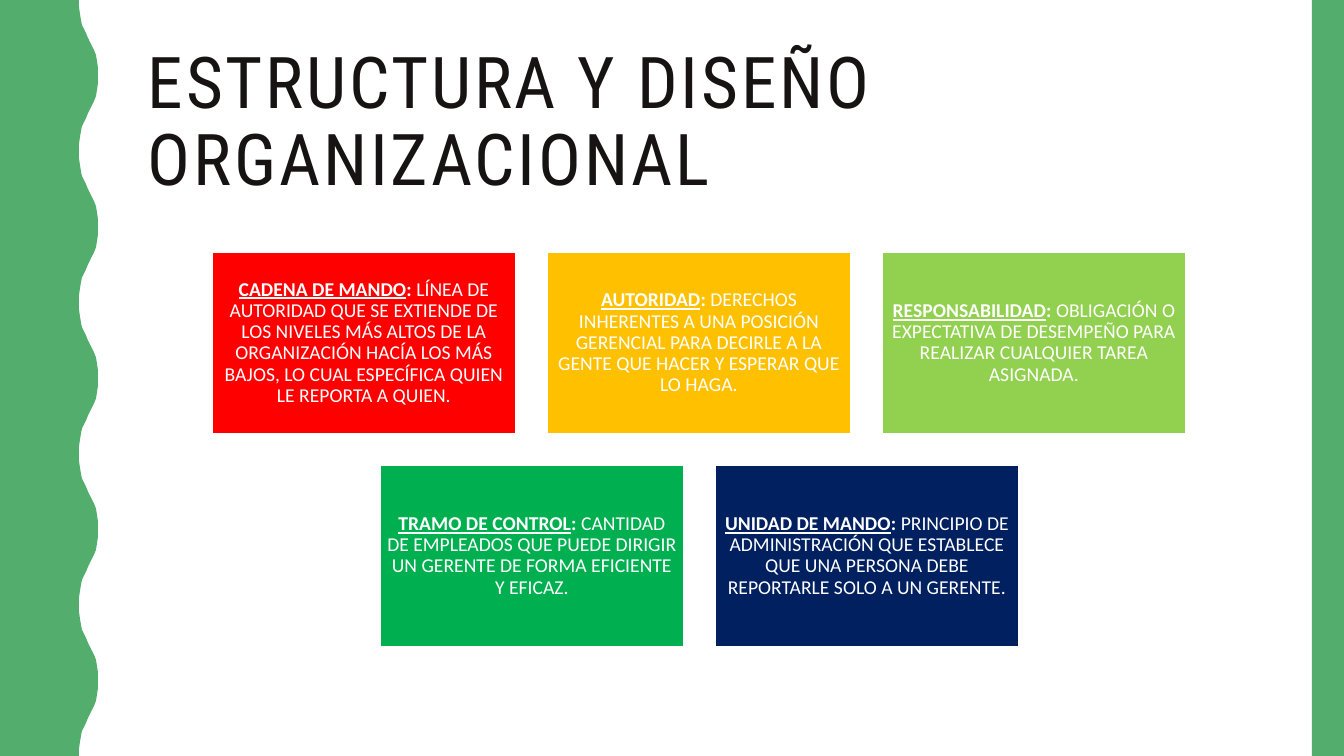
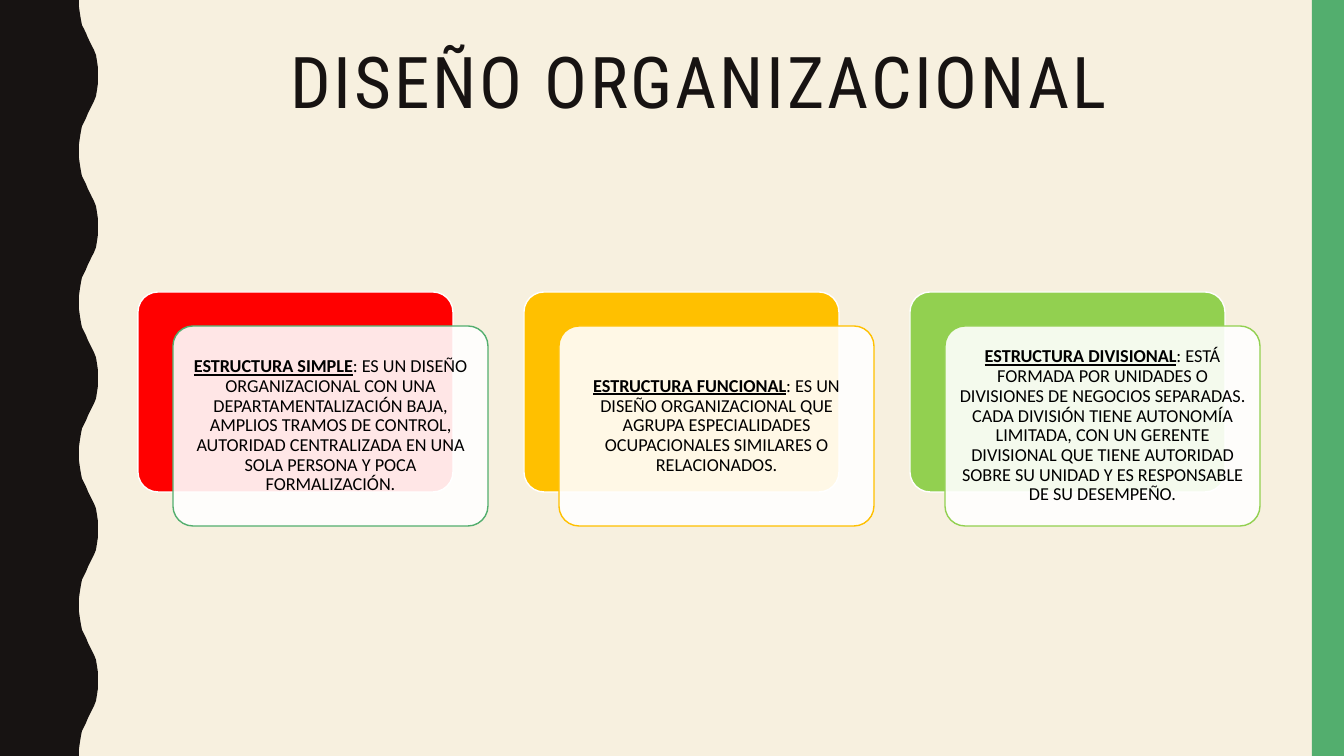
"""Build two slides on organizational structure and design."""
from lxml.etree import SubElement
from pptx import Presentation
from pptx.dml.color import RGBColor
from pptx.enum.shapes import MSO_SHAPE as SHAPE
from pptx.enum.text import MSO_ANCHOR as ANCHOR, PP_ALIGN as ALIGN
from pptx.oxml.ns import qn
from pptx.util import Pt

PX = 12192000 / 1344
W, H = 1344, 756
INK = RGBColor(0x17, 0x13, 0x12)
CREAM = RGBColor(0xF7, 0xF0, 0xDF)
LEAF = RGBColor(0x53, 0xAE, 0x6E)
WHITE = RGBColor(0xFF, 0xFF, 0xFF)
BLACK = RGBColor(0x00, 0x00, 0x00)
RED = RGBColor(0xFF, 0x00, 0x00)
AMBER = RGBColor(0xFF, 0xC0, 0x00)
LIME = RGBColor(0x92, 0xD0, 0x50)
GREEN = RGBColor(0x00, 0xB0, 0x50)
NAVY = RGBColor(0x00, 0x20, 0x60)

WAVES = 5
HALF_WAVE = [(79, 0), (79, 7), (80, 14), (81, 20), (82, 25), (84, 29), (86, 33), (88, 38),
             (90, 42), (92, 46), (94, 50), (96, 55), (97, 61), (98, 68), (98, 76)]


def add_box(slide, kind, x, y, w, h, fill, line=None):
    sp = slide.shapes.add_shape(kind, *(round(v * PX) for v in (x, y, w, h)))
    sp.shadow.inherit = False
    sp.fill.solid()
    sp.fill.fore_color.rgb = fill
    if line is None:
        sp.line.fill.background()
    else:
        sp.line.color.rgb = line
        sp.line.width = Pt(1)
    return sp


def write(sp, runs, font, size, color, align, anchor, inset_x, inset_y, spacing=0):
    tf = sp.text_frame
    tf.word_wrap = True
    tf.vertical_anchor = anchor
    tf.margin_left = tf.margin_right = round(inset_x * PX)
    tf.margin_top = tf.margin_bottom = round(inset_y * PX)
    p = tf.paragraphs[0]
    p.alignment = align
    p.line_spacing = 0.9
    for text, bold, underline in runs:
        r = p.add_run()
        r.text = text
        r.font.name = font
        r.font.size = Pt(size)
        r.font.color.rgb = color
        r.font.bold = bold
        r.font.underline = underline
        if spacing:
            r._r.get_or_add_rPr().set("spc", str(spacing * 100))


prs = Presentation()
prs.slide_width, prs.slide_height = round(W * PX), round(H * PX)

period = H / WAVES
wave = HALF_WAVE + [(x, period - y) for x, y in HALF_WAVE[-2::-1]]
edge = [(x, y + i * period) for i in range(WAVES) for x, y in wave]
outline = [(round(x * PX), round(y * PX)) for x, y in edge + [(0, H)]]

slides = []
for title, paper, band, align, anchor in [
    ("ESTRUCTURA Y DISEÑO ORGANIZACIONAL", WHITE, LEAF, ALIGN.LEFT, ANCHOR.MIDDLE),
    ("DISEÑO ORGANIZACIONAL", CREAM, INK, ALIGN.CENTER, ANCHOR.TOP),
]:
    s = prs.slides.add_slide(prs.slide_layouts[6])
    s.background.fill.solid()
    s.background.fill.fore_color.rgb = paper
    builder = s.shapes.build_freeform(0, 0, scale=1.0)
    builder.add_line_segments(outline, close=True)
    sp = builder.convert_to_shape()
    sp.shadow.inherit = False
    sp.fill.solid()
    sp.fill.fore_color.rgb = band
    sp.line.fill.background()
    add_box(s, SHAPE.RECTANGLE, 1312, 0, W - 1312, H, LEAF)
    sp = s.shapes.add_textbox(*(round(v * PX) for v in (138, 42, 1122, 164)))
    write(sp, [(title, False, False)], "Roboto Condensed", 51, INK, align, anchor, 10, 5, spacing=2)
    slides.append(s)

concept_rows = [
    [
        ("CADENA DE MANDO", "LÍNEA DE AUTORIDAD QUE SE EXTIENDE DE LOS NIVELES MÁS ALTOS DE LA "
         "ORGANIZACIÓN HACÍA LOS MÁS BAJOS, LO CUAL ESPECÍFICA QUIEN LE REPORTA A QUIEN.", RED),
        ("AUTORIDAD", "DERECHOS INHERENTES A UNA POSICIÓN GERENCIAL PARA DECIRLE A LA GENTE "
         "QUE HACER Y ESPERAR QUE LO HAGA.", AMBER),
        ("RESPONSABILIDAD", "OBLIGACIÓN O EXPECTATIVA DE DESEMPEÑO PARA REALIZAR CUALQUIER "
         "TAREA ASIGNADA.", LIME),
    ],
    [
        ("TRAMO DE CONTROL", "CANTIDAD DE EMPLEADOS QUE PUEDE DIRIGIR UN GERENTE DE FORMA "
         "EFICIENTE Y EFICAZ.", GREEN),
        ("UNIDAD DE MANDO", "PRINCIPIO DE ADMINISTRACIÓN QUE ESTABLECE QUE UNA PERSONA DEBE "
         "REPORTARLE SOLO A UN GERENTE.", NAVY),
    ],
]
box_w, box_h, gap, center_x = 304, 182, 31, 699
for row, concepts in enumerate(concept_rows):
    row_w = len(concepts) * (box_w + gap) - gap
    for col, (term, meaning, color) in enumerate(concepts):
        x = center_x - row_w // 2 + col * (box_w + gap)
        y = 252 + row * (box_h + gap)
        sp = add_box(slides[0], SHAPE.RECTANGLE, x, y, box_w, box_h, color, WHITE)
        runs = [(term, True, True), (": ", True, False), (meaning, False, False)]
        write(sp, runs, "Calibri", 14, WHITE, ALIGN.CENTER, ANCHOR.MIDDLE, 6, 6)

structures = [
    ("ESTRUCTURA SIMPLE", "ES UN DISEÑO ORGANIZACIONAL CON UNA DEPARTAMENTALIZACIÓN BAJA, "
     "AMPLIOS TRAMOS DE CONTROL, AUTORIDAD CENTRALIZADA EN UNA SOLA PERSONA Y POCA "
     "FORMALIZACIÓN.", RED, LEAF),
    ("ESTRUCTURA FUNCIONAL", "ES UN DISEÑO ORGANIZACIONAL QUE AGRUPA ESPECIALIDADES "
     "OCUPACIONALES SIMILARES O RELACIONADOS.", AMBER, AMBER),
    ("ESTRUCTURA DIVISIONAL", "ESTÁ FORMADA POR UNIDADES O DIVISIONES DE NEGOCIOS SEPARADAS. "
     "CADA DIVISIÓN TIENE AUTONOMÍA LIMITADA, CON UN GERENTE DIVISIONAL QUE TIENE AUTORIDAD "
     "SOBRE SU UNIDAD Y ES RESPONSABLE DE SU DESEMPEÑO.", LIME, LIME),
]
card_w, card_h = 315, 200
for i, (term, meaning, color, border) in enumerate(structures):
    x, y = 138 + i * 386, 292
    back = add_box(slides[1], SHAPE.ROUNDED_RECTANGLE, x, y, card_w, card_h, color, WHITE)
    front = add_box(slides[1], SHAPE.ROUNDED_RECTANGLE, x + 35, y + 34, card_w, card_h, WHITE, border)
    back.adjustments[0] = front.adjustments[0] = 0.1
    white = front.fill._xPr.find(qn("a:solidFill")).find(qn("a:srgbClr"))
    SubElement(white, qn("a:alpha"), val="90000")
    runs = [(term, True, True), (": " + meaning, False, False)]
    write(front, runs, "Calibri", 13, BLACK, ALIGN.CENTER, ANCHOR.MIDDLE, 5, 5)

prs.save("out.pptx")
